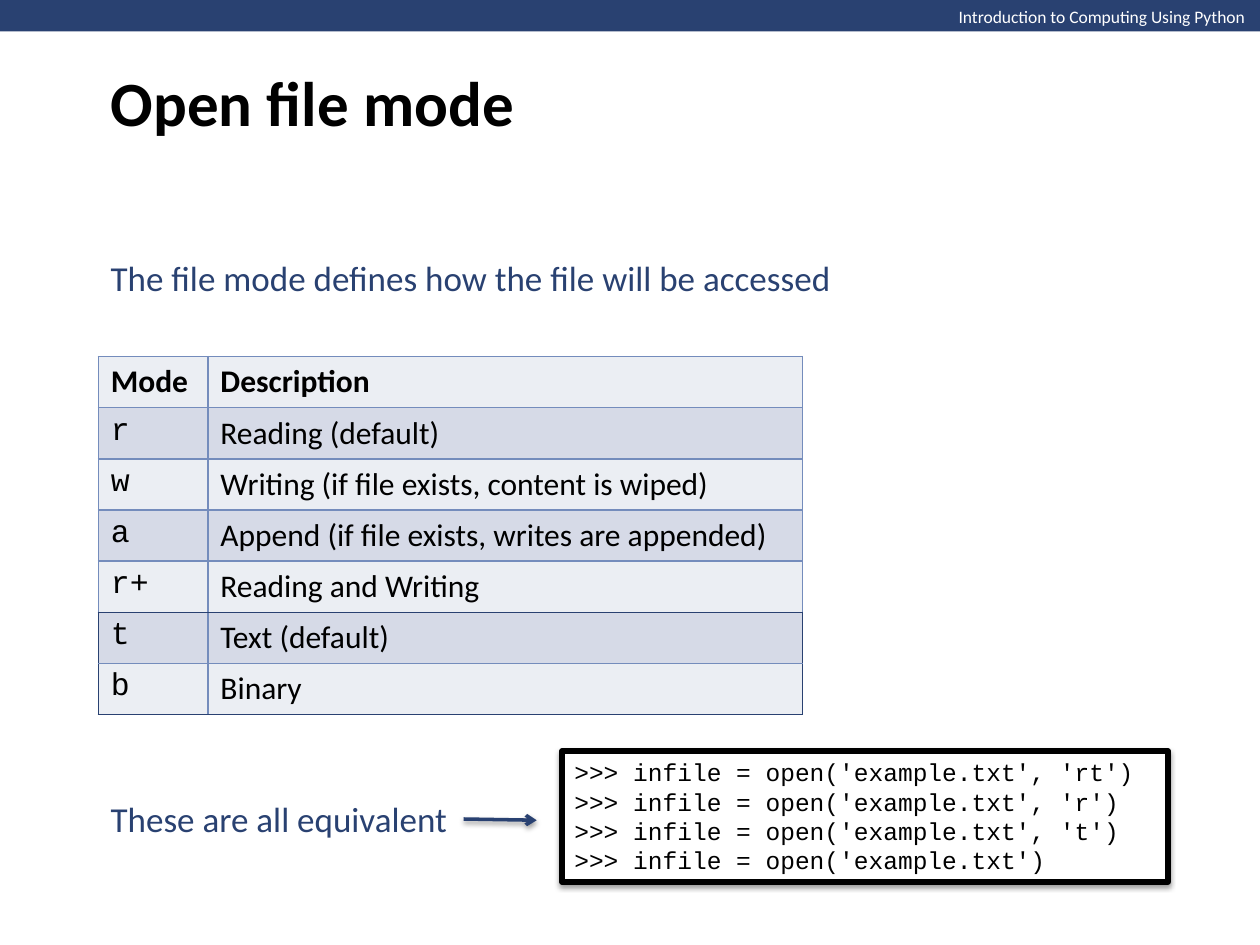
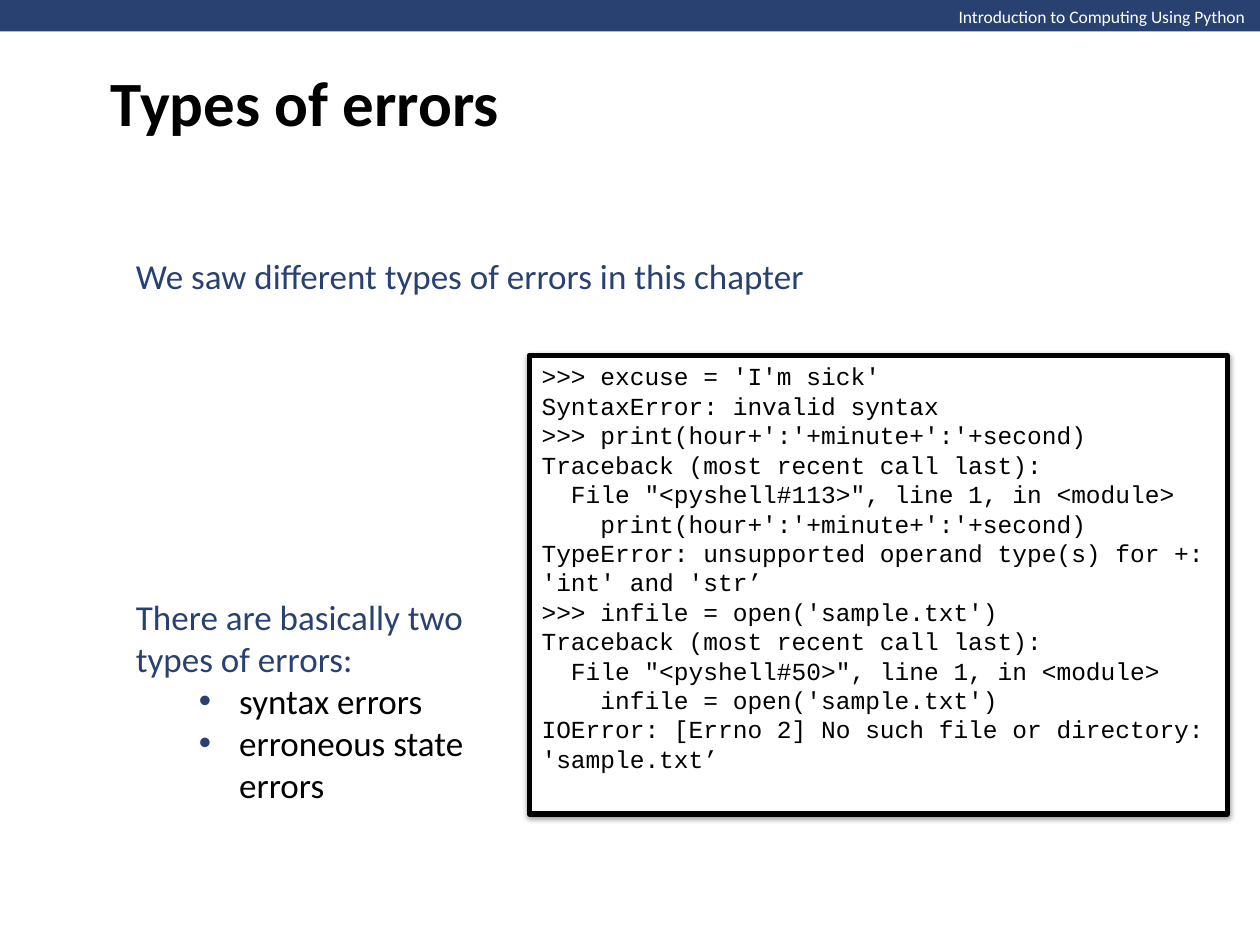
"""Build two lecture slides about file modes and error types."""
from lxml import etree
from pptx import Presentation, util as u
from pptx.dml.color import RGBColor
from pptx.enum import shapes, text
from pptx.oxml.ns import qn

NAVY = RGBColor(0x29, 0x41, 0x71)
BLUE = RGBColor(0x74, 0x8C, 0xBC)
PALE = RGBColor(0xEB, 0xEE, 0xF3)
MIST = RGBColor(0xD6, 0xDA, 0xE7)
BLACK = RGBColor(0, 0, 0)
WHITE = RGBColor(0xFF, 0xFF, 0xFF)
BODY, CODE = "Calibri", "Courier New"
COLUMNS, ROWS = 100, 75
MARGIN = 7.8

MODES = [
    ("Mode", "Description"),
    ("r", "Reading (default)"),
    ("w", "Writing (if file exists, content is wiped)"),
    ("a", "Append (if file exists, writes are appended)"),
    ("r+", "Reading and Writing"),
    ("t", "Text (default)"),
    ("b", "Binary"),
]
KIND_ROW = 5

OPEN_CALLS = [f">>> infile = open('example.txt'{mode})"
              for mode in (", 'rt'", ", 'r'", ", 't'", "")]
TRACEBACK = "Traceback (most recent call last):"
ERRORS = [
    ">>> excuse = 'I'm sick'",
    "SyntaxError: invalid syntax",
    ">>> print(hour+':'+minute+':'+second)",
    TRACEBACK,
    '  File "<pyshell#113>", line 1, in <module>',
    "    print(hour+':'+minute+':'+second)",
    "TypeError: unsupported operand type(s) for +: 'int' and 'str’",
    ">>> infile = open('sample.txt')",
    TRACEBACK,
    '  File "<pyshell#50>", line 1, in <module>',
    "    infile = open('sample.txt')",
    "IOError: [Errno 2] No such file or directory: 'sample.txt’",
]


def add_node(parent, tag, **attributes):
    """Append a child element with the given attributes."""
    node = etree.SubElement(parent, qn(tag))
    for name, value in attributes.items():
        node.set(name, str(value))
    return node


def write(frame, lines, font=BODY, size=20, color=NAVY, bold=False, bullet=None):
    """Add one formatted paragraph per line to a text frame."""
    for line in lines:
        para = frame.paragraphs[0] if not frame.text else frame.add_paragraph()
        para.alignment = text.PP_ALIGN.LEFT
        span = para.add_run()
        span.text = line
        span.font.name, span.font.size = font, u.Pt(size)
        span.font.bold, span.font.color.rgb = bold, color
        if bullet is not None:
            para.level = 1
            layout = para._p.get_or_add_pPr()
            layout.set("marL", str(u.Inches(0.82)))
            layout.set("indent", str(u.Inches(-0.32)))
            add_node(add_node(layout, "a:buClr"), "a:srgbClr", val=bullet)
            add_node(layout, "a:buFont", typeface="Arial")
            add_node(layout, "a:buChar", char="•")


def drop_shadow(effects):
    """Fill an effect list with the soft downward shadow."""
    shadow = add_node(effects, "a:outerShdw", blurRad=u.Pt(3.1), dist=u.Pt(1.6),
                      dir=90 * 60000, rotWithShape=0)
    add_node(add_node(shadow, "a:srgbClr", val=BLACK), "a:alpha", val=38000)


def draw_borders(cell, colors):
    """Draw left, right, top and bottom borders of one point."""
    properties = cell._tc.get_or_add_tcPr()
    for index, (side, color) in enumerate(zip("LRTB", colors)):
        line = add_node(properties, f"a:ln{side}", w=u.Pt(1))
        add_node(add_node(line, "a:solidFill"), "a:srgbClr", val=color)
        properties.insert(index, line)


class Lesson:
    """Hold the deck style and the current slide."""

    def __init__(self):
        self.deck = Presentation()
        self.deck.slide_width, self.deck.slide_height = u.Inches(10), u.Inches(7.5)
        self.page = None

    def grid(self, left, top, width, height):
        """Turn columns and rows into slide lengths."""
        column = self.deck.slide_width / COLUMNS
        row = self.deck.slide_height / ROWS
        return [u.Emu(round(size)) for size in
                (left * column, top * row, width * column, height * row)]

    def start(self, title):
        """Add a page with its band, course name and title."""
        self.page = self.deck.slides.add_slide(self.deck.slide_layouts[5])
        self.rectangle(0, 0, COLUMNS, 2.5, NAVY)
        self.label(["Introduction to Computing Using Python"], 75.1, 0, 25, 2.7,
                   wrap=False, anchor=text.MSO_ANCHOR.TOP, size=10, color=WHITE)
        box = self.page.shapes.title
        box.left, box.top, box.width, box.height = self.grid(MARGIN, 0, 85, 16.1)
        box.text_frame.vertical_anchor = text.MSO_ANCHOR.MIDDLE
        write(box.text_frame, [title], size=36, color=BLACK, bold=True)

    def rectangle(self, left, top, width, height, fill):
        """Draw a plain filled rectangle."""
        box = self.page.shapes.add_shape(
            shapes.MSO_SHAPE.RECTANGLE, *self.grid(left, top, width, height))
        box.fill.solid()
        box.fill.fore_color.rgb = fill
        box.line.fill.background()
        box.shadow.inherit = False
        return box

    def label(self, lines, left, top, width, height, wrap=True,
              anchor=text.MSO_ANCHOR.MIDDLE, **style):
        """Place text and return its frame."""
        box = self.page.shapes.add_textbox(*self.grid(left, top, width, height))
        frame = box.text_frame
        frame.word_wrap, frame.vertical_anchor = wrap, anchor
        frame.auto_size = text.MSO_AUTO_SIZE.SHAPE_TO_FIT_TEXT
        write(frame, lines, **style)
        return frame

    def listing(self, lines, left, top, width, height):
        """Show code in a framed white box with a shadow."""
        box = self.rectangle(left, top, width, height, WHITE)
        box.line.color.rgb, box.line.width = BLACK, u.Pt(3)
        drop_shadow(box._element.spPr.find(qn("a:effectLst")))
        frame = box.text_frame
        frame.word_wrap, frame.vertical_anchor = True, text.MSO_ANCHOR.TOP
        write(frame, lines, font=CODE, size=14, color=BLACK)

    def arrow(self, left, top, right, bottom):
        """Draw an arrow between two grid points."""
        line = self.page.shapes.add_connector(
            shapes.MSO_CONNECTOR.STRAIGHT, *self.grid(left, top, right, bottom))
        line.line.color.rgb, line.line.width = NAVY, u.Pt(2)
        add_node(line.line._get_or_add_ln(), "a:tailEnd", type="arrow")
        drop_shadow(add_node(line._element.spPr, "a:effectLst"))

    def mode_table(self, rows, left, top, widths, row_height):
        """Build the banded table, with the last rows outlined in navy."""
        place = self.grid(left, top, sum(widths), row_height * len(rows))
        table = self.page.shapes.add_table(len(rows), len(widths), *place).table
        for column, width in zip(table.columns, widths):
            column.width = self.grid(0, 0, width, 0)[2]
        for row, values in enumerate(rows):
            table.rows[row].height = self.grid(0, 0, 0, row_height)[3]
            for column, value in enumerate(values):
                cell = table.cell(row, column)
                cell.fill.solid()
                cell.fill.fore_color.rgb = MIST if row % 2 else PALE
                code = row > 0 and column == 0
                write(cell.text_frame, [value], font=CODE if code else BODY,
                      size=18, color=BLACK, bold=row == 0)
                outlined = row >= KIND_ROW
                edges = (outlined and column == 0,
                         outlined and column == len(widths) - 1,
                         row == KIND_ROW,
                         row in (KIND_ROW - 1, len(rows) - 1))
                draw_borders(cell, [NAVY if edge else BLUE for edge in edges])


lesson = Lesson()

lesson.start("Open file mode")
lesson.mode_table(MODES, MARGIN, 28.3, (8.7, 47.2), 4.06)
lesson.label(["The file mode defines how the file will be accessed"],
             MARGIN, 19.8, 79.5, 4.4)
lesson.listing(OPEN_CALLS, 44.6, 59.6, 48.1, 10.4)
lesson.label(["These are all equivalent"], MARGIN, 62.8, 29, 4.4, wrap=False)
lesson.arrow(36.8, 65, 42.6, 65.1)

lesson.start("Types of errors")
lesson.listing(ERRORS, 42, 28.2, 55.4, 36.4)
lesson.label(["We saw different types of errors in this chapter"],
             9.8, 19.7, 55.9, 4.4)
kinds = lesson.label(["There are basically two types of errors:"],
                     9.8, 46.7, 32.2, 17.8)
write(kinds, ["syntax errors", "erroneous state errors"], color=BLACK, bullet=NAVY)

lesson.deck.save("out.pptx")
